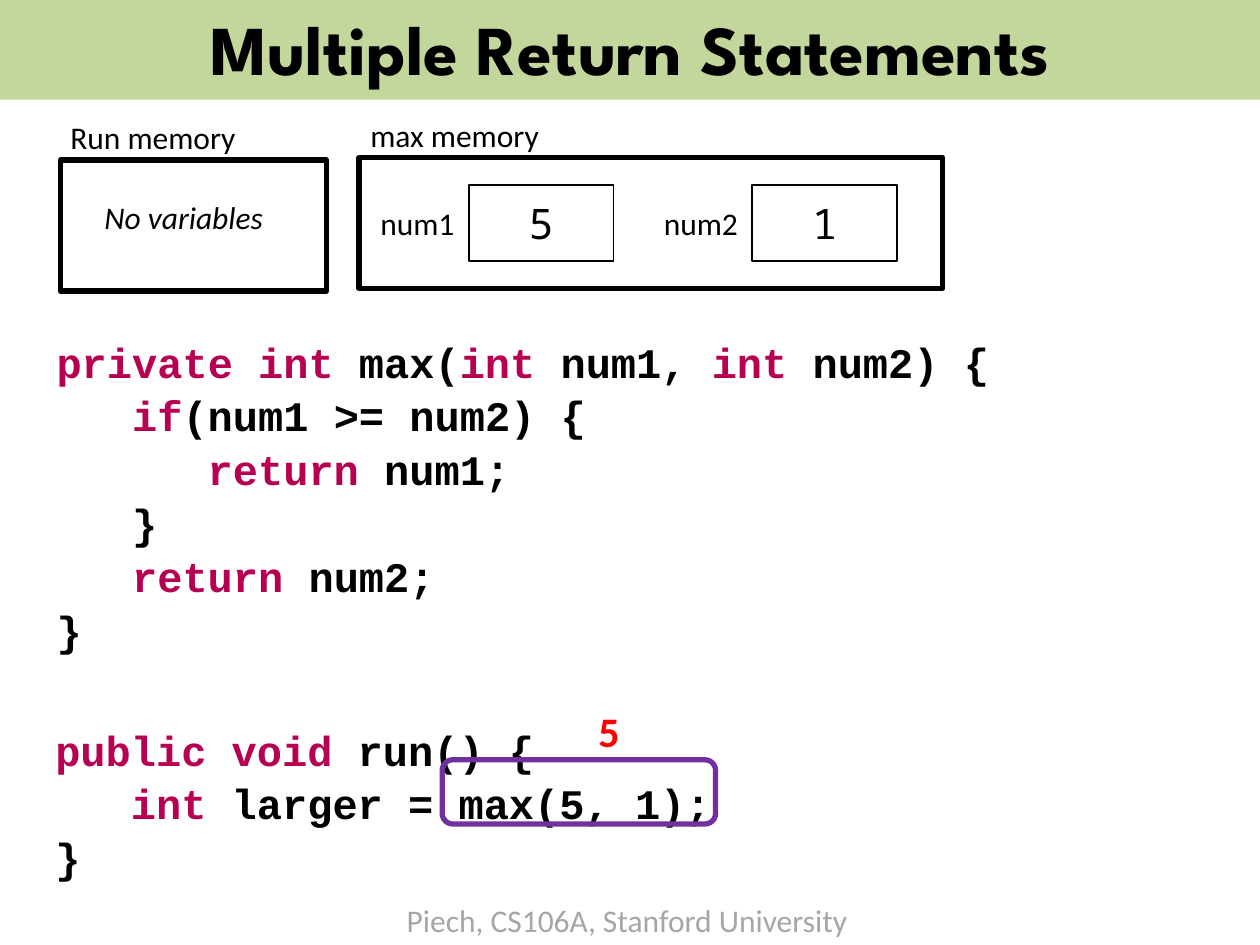
import pptx
import pptx.dml.color
import pptx.enum.shapes
import pptx.enum.text
import pptx.util

Pt = pptx.util.Pt
Kind = pptx.enum.shapes.MSO_SHAPE
Align = pptx.enum.text.PP_ALIGN
Anchor = pptx.enum.text.MSO_ANCHOR

COLS, ROWS = 100, 75
INK = {"black": "000000", "key": "B70051", "band": "C3D69B",
       "grey": "A6A6A6", "red": "FF0000", "call": "7030A0"}


def tint(name):
    return pptx.dml.color.RGBColor.from_string(INK[name])


class Deck:
    """Style and current slide; lengths are columns and rows of the grid."""

    def __init__(self):
        self.prs = pptx.Presentation()
        self.prs.slide_width = pptx.util.Inches(10)
        self.prs.slide_height = pptx.util.Inches(7.5)
        self.slide = self.prs.slides.add_slide(self.prs.slide_layouts[6])

    def area(self, x, y, w, h):
        col = self.prs.slide_width / COLS
        row = self.prs.slide_height / ROWS
        return int(x * col), int(y * row), int(w * col), int(h * row)

    def style(self, para, size, face, ink="black", bold=False, slant=False):
        font = para.font
        font.size, font.name = Pt(size), face
        font.bold, font.italic = bold, slant
        font.color.rgb = tint(ink)

    def label(self, text, x, y, w, h=4, size=18, **look):
        box = self.slide.shapes.add_textbox(*self.area(x, y, w, h))
        box.text_frame.word_wrap = False
        para = box.text_frame.paragraphs[0]
        para.text = text
        self.style(para, size, "Calibri", **look)

    def box(self, x, y, w, h, line="black", width=3, fill=None,
            kind=Kind.RECTANGLE):
        shape = self.slide.shapes.add_shape(kind, *self.area(x, y, w, h))
        shape.shadow.inherit = False
        if fill:
            shape.fill.solid()
            shape.fill.fore_color.rgb = tint(fill)
        else:
            shape.fill.background()
        if line:
            shape.line.color.rgb = tint(line)
            shape.line.width = Pt(width)
        else:
            shape.line.fill.background()
        return shape

    def center(self, shape, text, size, face, bold=False):
        """Centre one line of text in a shape."""
        frame = shape.text_frame
        frame.vertical_anchor = Anchor.MIDDLE
        para = frame.paragraphs[0]
        para.text = text
        para.alignment = Align.CENTER
        self.style(para, size, face, bold=bold)

    def cell(self, name, value, x, y):
        """Draw a variable: its name beside its boxed value."""
        self.label(name, x, y + 1, 8)
        self.center(self.box(x + 8, y, 11.5, 6, width=1),
                    value, 24, "Noto Sans Mono")

    def code(self, lines, x, y, w, h):
        """Set code lines, with keywords held between ~ marks."""
        box = self.slide.shapes.add_textbox(*self.area(x, y, w, h))
        frame = box.text_frame
        frame.word_wrap = True
        for n, line in enumerate(lines):
            para = frame.add_paragraph() if n else frame.paragraphs[0]
            if n:
                para.space_before = Pt(1.8)
            self.style(para, 24, "Courier New", bold=True)
            for k, part in enumerate(line.split("~")):
                if part:
                    run = para.add_run()
                    run.text = part
                    run.font.color.rgb = tint("key" if k % 2 else "black")


def main():
    deck = Deck()
    band = deck.box(0, -0.3, 100, 8.2, line=None, fill="band")
    deck.center(band, "Multiple Return Statements", 40, "League Spartan", True)

    deck.code(["~private int ~max(~int ~num1, ~int ~num2) {",
               "   ~if~(num1 >= num2) {",
               "      ~return ~num1;",
               "   }",
               "   ~return ~num2;",
               "}"], 3.5, 26.2, 93.2, 25)
    deck.code(["~public void ~run() {",
               "   ~int~ larger = max(5, 1);",
               "}"], 3.4, 57, 93.2, 12.8)

    deck.box(4.8, 12.7, 21.1, 10.4)
    deck.label("Run memory", 4.6, 8.9, 15.3)
    deck.label("No variables", 7.3, 15.2, 15.3, slant=True)

    deck.box(28.5, 12.5, 46.3, 10.4)
    deck.label("max memory", 28.4, 8.7, 15.5)
    for n, value in enumerate(["5", "1"]):
        deck.cell(f"num{n + 1}", value, 29.2 + 22.5 * n, 14.7)

    deck.box(35.1, 60.3, 21.7, 5.1, line="call", kind=Kind.ROUNDED_RECTANGLE)
    deck.label("5", 46.5, 55.5, 3.7, 5, size=24, ink="red", bold=True)
    deck.label("Piech, CS106A, Stanford University", 31.3, 71, 37.4, ink="grey")
    deck.prs.save("out.pptx")


if __name__ == "__main__":
    main()
